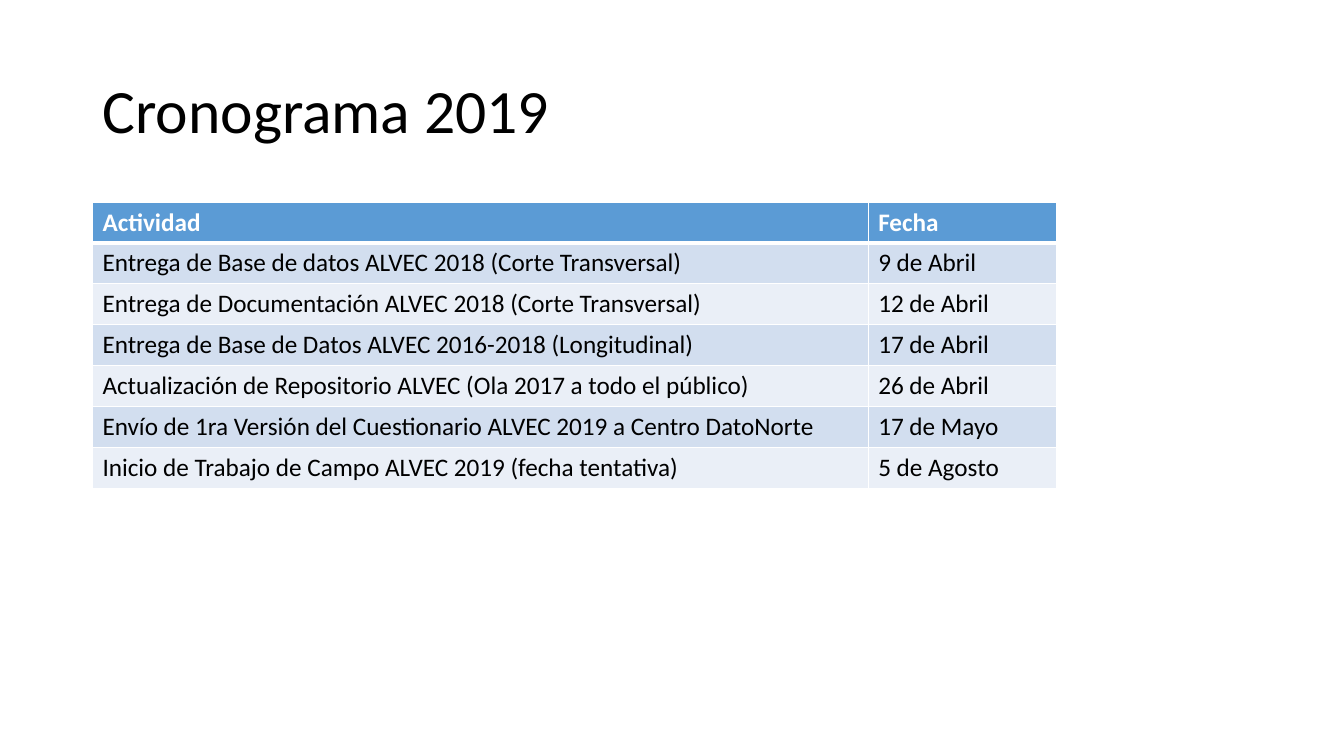
from lxml import etree
from pptx import Presentation
from pptx.dml.color import RGBColor
from pptx.enum import text as t
from pptx.oxml import ns
from pptx.util import Cm, Pt

FONT = "Calibri"
WHITE, BLACK, BLUE = "FFFFFF", "000000", "5B9BD5"
BANDS = ("D2DEEF", "EAEFF7")
LEFT = 2.33
COLS = (19.55, 4.75)
ROW = 1.03
PLAN = (
    ("Actividad", "Fecha"),
    ("Entrega de Base de datos ALVEC 2018 (Corte Transversal)", "9 de Abril"),
    ("Entrega de Documentación ALVEC 2018 (Corte Transversal)", "12 de Abril"),
    ("Entrega de Base de Datos ALVEC 2016-2018 (Longitudinal)", "17 de Abril"),
    ("Actualización de Repositorio ALVEC (Ola 2017 a todo el público)", "26 de Abril"),
    ("Envío de 1ra Versión del Cuestionario ALVEC 2019 a Centro DatoNorte", "17 de Mayo"),
    ("Inicio de Trabajo de Campo ALVEC 2019 (fecha tentativa)", "5 de Agosto"),
)


def color(code):
    """Turn a hex string into a colour."""
    return RGBColor.from_string(code)


def write(frame, words, size=18, ink=BLACK, bold=False, space=1.0):
    """Put one left-aligned, formatted paragraph in a text frame."""
    para = frame.paragraphs[0]
    para.alignment = t.PP_ALIGN.LEFT
    para.line_spacing = space
    run = para.add_run()
    run.text = words
    font = run.font
    font.name, font.size, font.bold = FONT, Pt(size), bold
    font.color.rgb = color(ink)


def edge(cell, side, width):
    """Draw one white border of a cell; call before its fill is set."""
    props = cell._tc.get_or_add_tcPr()
    line = etree.SubElement(props, ns.qn("a:ln" + side), w=str(Pt(width)))
    fill = etree.SubElement(line, ns.qn("a:solidFill"))
    etree.SubElement(fill, ns.qn("a:srgbClr"), val=WHITE)


def add_title(slide, words):
    """Place and fill the title placeholder."""
    title = slide.shapes.title
    title.left, title.top = Cm(LEFT), Cm(1.01)
    title.width, title.height = Cm(29.21), Cm(3.68)
    frame = title.text_frame
    frame.word_wrap = True
    frame.auto_size = t.MSO_AUTO_SIZE.NONE
    frame.vertical_anchor = t.MSO_ANCHOR.MIDDLE
    write(frame, words, size=44, space=0.9)


def add_plan(slide, rows):
    """Add the banded schedule table with a header row."""
    table = slide.shapes.add_table(
        len(rows), len(COLS), Cm(LEFT), Cm(5.09),
        Cm(sum(COLS)), Cm(ROW * len(rows))).table
    for col, width in zip(table.columns, COLS):
        col.width = Cm(width)
    for i, row in enumerate(rows):
        table.rows[i].height = Cm(ROW)
        head = i == 0
        for j, words in enumerate(row):
            cell = table.cell(i, j)
            for side in "LRTB":
                thick = (head and side == "B") or (i == 1 and side == "T")
                edge(cell, side, 3 if thick else 1)
            cell.fill.solid()
            cell.fill.fore_color.rgb = color(BLUE if head else BANDS[(i - 1) % 2])
            write(cell.text_frame, words, ink=WHITE if head else BLACK, bold=head)


def main():
    """Build and save the schedule slide."""
    deck = Presentation()
    deck.slide_width, deck.slide_height = Cm(33.87), Cm(19.05)
    slide = deck.slides.add_slide(deck.slide_layouts.get_by_name("Title Only"))
    add_title(slide, "Cronograma 2019")
    add_plan(slide, PLAN)
    deck.save("out.pptx")


main()
